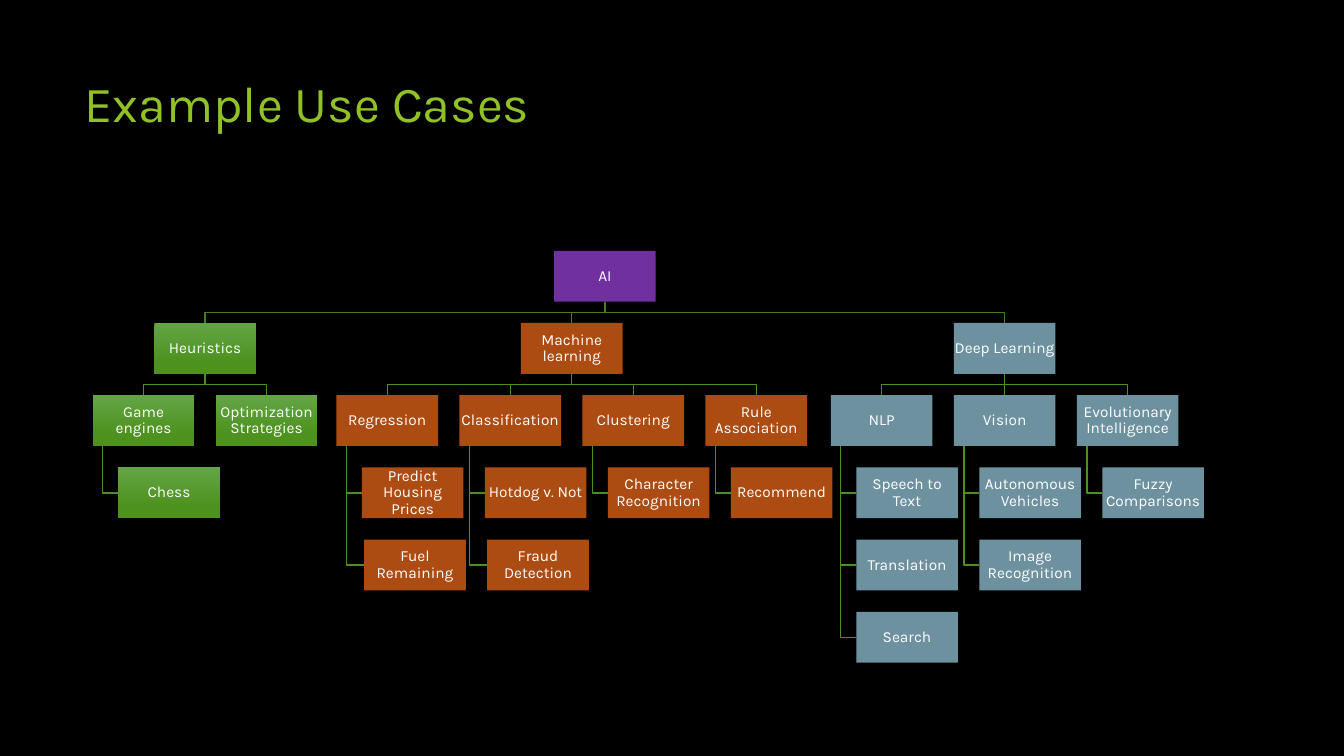
from pptx import Presentation
from pptx import util as u
from pptx.dml.color import RGBColor
from pptx.enum import shapes, text
from pptx.oxml.ns import qn
from lxml import etree

COLOURS = {
    "background": "000000",
    "title": "90C226",
    "label": "FFFFFF",
    "root": "7030A0",
    "green top": "63A545",
    "green bottom": "4D921E",
    "orange": "AD4C12",
    "blue": "6E91A0",
    "root line": "43801A",
    "branch line": "4C911E",
}
WIDTH, HEIGHT = 2.56, 1.28
TOP, ROW_STEP, COLUMN_STEP = 6.32, 1.82, 3.1
SPINE, LEAF_INDENT = 0.25, 0.64

BRANCHES = [
    ("Heuristics", "green", 2.34, 0, [
        ("Game engines", ["Chess"]),
        ("Optimization Strategies", []),
    ]),
    ("Machine learning", "orange", 8.48, 0.06, [
        ("Regression", ["Predict Housing Prices", "Fuel Remaining"]),
        ("Classification", ["Hotdog v. Not", "Fraud Detection"]),
        ("Clustering", ["Character Recognition"]),
        ("Rule Association", ["Recommend"]),
    ]),
    ("Deep Learning", "blue", 20.94, 0, [
        ("NLP", ["Speech to Text", "Translation", "Search"]),
        ("Vision", ["Autonomous Vehicles", "Image Recognition"]),
        ("Evolutionary Intelligence", ["Fuzzy Comparisons"]),
    ]),
]


def colour(name):
    return RGBColor.from_string(COLOURS[name])


def assign(target, values):
    for name, value in values.items():
        setattr(target, name, value)


class TreeSlide:
    font = "Karla"

    def __init__(self, deck):
        self.page = deck.slides.add_slide(deck.slide_layouts[5])
        fill = self.page.background.fill
        fill.solid()
        fill.fore_color.rgb = colour("background")

    def label(self, shape, words, size, ink, frame_format, para_format):
        frame = shape.text_frame
        assign(frame, {"word_wrap": True, "auto_size": text.MSO_AUTO_SIZE.NONE, **frame_format})
        para = frame.paragraphs[0]
        assign(para, para_format)
        span = para.add_run()
        span.text = words
        assign(span.font, {"name": self.font, "size": u.Pt(size)})
        span.font.color.rgb = colour(ink)

    def title(self, words):
        box = self.page.shapes.title
        assign(box, {"left": u.Cm(1.88), "top": u.Cm(1.7), "width": u.Cm(23.88), "height": u.Cm(3.66)})
        self.label(box, words, 36, "title", {"vertical_anchor": text.MSO_ANCHOR.TOP},
                   {"alignment": text.PP_ALIGN.LEFT})

    def node(self, words, left, level, paint):
        box = self.page.shapes.add_shape(
            shapes.MSO_SHAPE.RECTANGLE, u.Cm(left), u.Cm(TOP + level * ROW_STEP), u.Cm(WIDTH), u.Cm(HEIGHT))
        box.shadow.inherit = False
        box.line.fill.background()
        if paint == "green":
            box.fill.gradient()
            box.fill.gradient_angle = 270
            for stop, end, position in zip(box.fill.gradient_stops, ("top", "bottom"), (0, 0.78)):
                stop.color.rgb = colour(f"green {end}")
                stop.position = position
        else:
            box.fill.solid()
            box.fill.fore_color.rgb = colour(paint)
        margins = {f"margin_{side}": u.Cm(0.02) for side in ("left", "right", "top", "bottom")}
        self.label(box, words, 11, "label", {"vertical_anchor": text.MSO_ANCHOR.MIDDLE, **margins},
                   {"alignment": text.PP_ALIGN.CENTER, "line_spacing": 0.9})
        return box

    def stroke(self, shape, ink):
        shape.line.width = u.Pt(1)
        shape.line.color.rgb = colour(ink)

    def bend(self, points, ink):
        builder = self.page.shapes.build_freeform(*points[0])
        builder.add_line_segments(points[1:], close=False)
        line = builder.convert_to_shape()
        line.shadow.inherit = False
        line.fill.background()
        self.stroke(line, ink)

    def drop(self, parent, child, ink):
        start = parent.left + parent.width // 2, parent.top + parent.height
        end = child.left + child.width // 2, child.top
        if abs(start[0] - end[0]) < u.Cm(0.01):
            line = self.page.shapes.add_connector(shapes.MSO_CONNECTOR.STRAIGHT, *start, *end)
            line.begin_connect(parent, 2)
            line.end_connect(child, 0)
            self.stroke(line, ink)
            etree.SubElement(line._element.spPr, qn("a:effectLst"))
        else:
            middle = (start[1] + end[1]) // 2
            self.bend([start, (start[0], middle), (end[0], middle), end], ink)

    def hang(self, parent, leaf):
        spine = parent.left + u.Cm(SPINE)
        middle = leaf.top + leaf.height // 2
        self.bend([(spine, parent.top + parent.height), (spine, middle), (leaf.left, middle)], "branch line")

    def branch(self, words, paint, left, shift, columns):
        head = self.node(words, left + (len(columns) - 1) * COLUMN_STEP / 2, 1, paint)
        for index, (topic, leaves) in enumerate(columns):
            column = left + index * COLUMN_STEP
            parent = self.node(topic, column, 2, paint)
            self.drop(head, parent, "branch line")
            for row, example in enumerate(leaves):
                leaf = self.node(example, column + LEAF_INDENT + row * shift, 3 + row, paint)
                self.hang(parent, leaf)
        return head


def main():
    deck = Presentation()
    assign(deck, {"slide_width": u.Cm(33.87), "slide_height": u.Cm(19.05)})
    slide = TreeSlide(deck)
    slide.title("Example Use Cases")
    heads = [slide.branch(*branch) for branch in BRANCHES]
    root = slide.node("AI", (heads[0].left + heads[-1].left) / 2 / u.Cm(1), 0, "root")
    for head in heads:
        slide.drop(root, head, "root line")
    deck.save("out.pptx")


if __name__ == "__main__":
    main()
